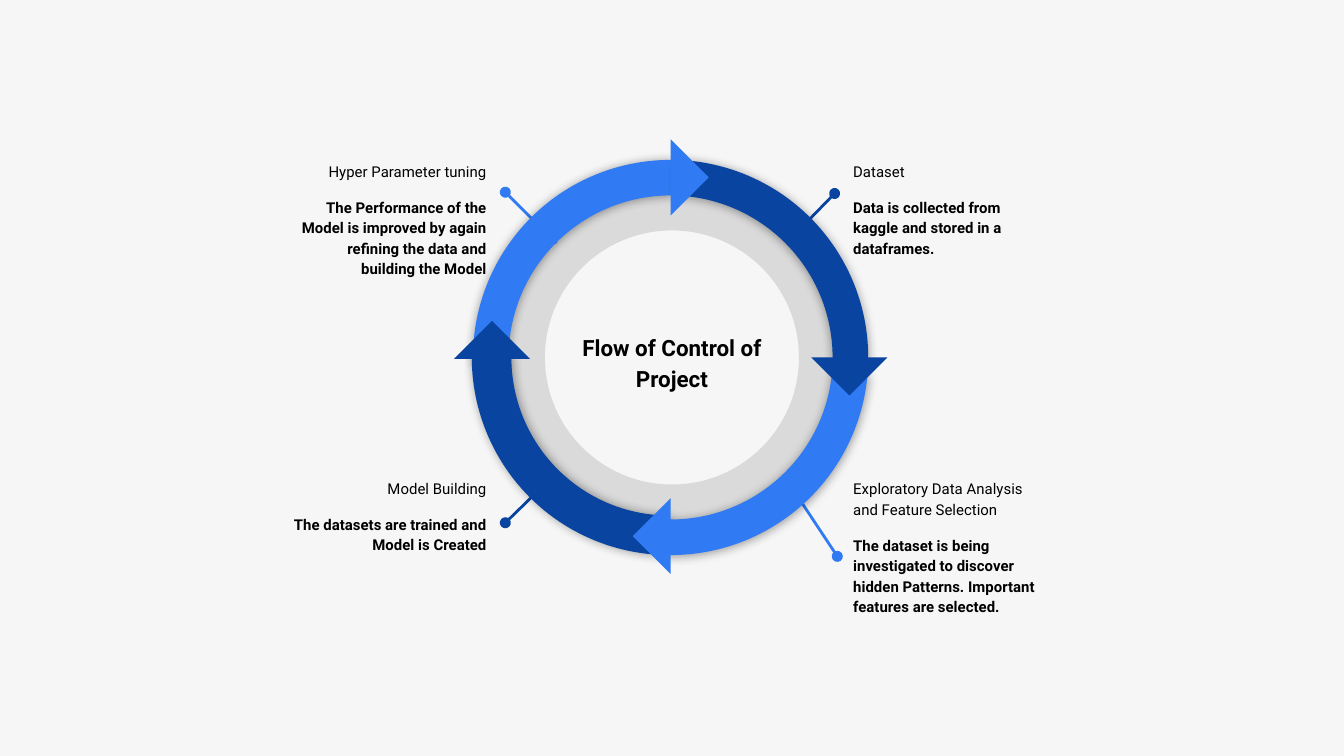
from lxml import etree
from pptx import Presentation
from pptx import util as u
from pptx.dml.color import RGBColor
from pptx.enum import shapes, text
from pptx.oxml.ns import qn

LIGHT, DARK, BLACK = "307BF3", "0944A1", "000000"
LEFT, CENTER, RIGHT = text.PP_ALIGN.LEFT, text.PP_ALIGN.CENTER, text.PP_ALIGN.RIGHT

NOTES = [
    (2.08, 1.09, 0.73, RIGHT, "Hyper Parameter tuning",
     "The Performance of the Model is improved by again refining the data and building the Model"),
    (2.08, 3.45, 0.73, RIGHT, "Model Building", "The datasets are trained and Model is Created"),
    (6.25, 3.45, 1.12, LEFT, "Exploratory Data Analysis and Feature Selection",
     "The dataset is being investigated to discover hidden Patterns. Important features are selected."),
    (6.25, 1.09, 0.73, LEFT, "Dataset", "Data is collected from kaggle and stored in a dataframes."),
]
POINTERS = [
    ((3.76, 1.43), (4.14, 1.81), LIGHT),
    ((3.76, 3.89), (4.14, 3.52), DARK),
    ((6.23, 4.14), (5.84, 3.55), LIGHT),
    ((6.21, 1.44), (5.85, 1.81), DARK),
]
ARCS = [
    (3.52, 330, True, (143.49, 198.72, 0.09), LIGHT, 90),
    (3.52, 30, False, (145.46, 199.02, 0.09), DARK, 90),
    (3.51, 150, False, (180.42, 17.99, 0.1), DARK, 0),
    (3.52, 210, True, (179.67, 15.3, 0.09), LIGHT, 90),
]
ARROWHEADS = [
    (3.46, 2.47, 135, DARK),
    (6.12, 2.46, 315, DARK),
    (4.79, 3.79, 45, LIGHT),
    (4.79, 1.12, 225, LIGHT),
]


def rgb(value):
    """Turn a hex string into a colour."""
    return RGBColor.from_string(value)


def add_figure(page, kind, left, top, size, color, rotation=0, adjustments=()):
    """Add a square, filled preset shape without outline or shadow."""
    figure = page.shapes.add_shape(kind, *map(u.Inches, (left, top, size, size)))
    figure.shadow.inherit = False
    figure.fill.solid()
    figure.fill.fore_color.rgb = rgb(color)
    figure.line.fill.background()
    figure.rotation = rotation
    for index, value in enumerate(adjustments):
        figure.adjustments[index] = value
    return figure


def set_alpha(color_node, percent):
    """Give a colour node its opacity."""
    etree.SubElement(color_node, qn("a:alpha"), val=str(percent * 1000))


def add_ring(page):
    """Add the translucent ring behind the arrows."""
    ring = add_figure(page, shapes.MSO_SHAPE.DONUT, 3.61, 1.27, 2.78, BLACK, adjustments=[0.16])
    set_alpha(ring.element.spPr.find(qn("a:solidFill")).find(qn("a:srgbClr")), 11)


def add_arc(page, left, rotation, mirrored, adjustments, color, direction):
    """Add one quarter of the cycle with a soft shadow."""
    arc = add_figure(page, shapes.MSO_SHAPE.BLOCK_ARC, left, 1.19, 2.94, color, rotation, adjustments)
    properties = arc.element.spPr
    if mirrored:
        properties.find(qn("a:xfrm")).set("flipH", "1")
    shadow = etree.SubElement(
        properties.find(qn("a:effectLst")), qn("a:outerShdw"),
        blurRad=str(u.Pt(5.6)), dist=str(u.Pt(0.8)), dir=str(direction * 60000),
        algn="bl", rotWithShape="0")
    set_alpha(etree.SubElement(shadow, qn("a:srgbClr"), val=BLACK), 40)


def add_pointer(page, start, end, color):
    """Add a line that starts with a dot."""
    pointer = page.shapes.add_connector(
        shapes.MSO_CONNECTOR.STRAIGHT, *map(u.Inches, start + end))
    pointer.line.color.rgb = rgb(color)
    pointer.line.width = u.Pt(1.5)
    properties = pointer.element.spPr
    etree.SubElement(properties.find(qn("a:ln")), qn("a:headEnd"), type="oval")
    etree.SubElement(properties, qn("a:effectLst"))


def set_frame(box, anchor):
    """Set wrapping, margins and anchor of a box and return its frame."""
    frame = box.text_frame
    settings = {"word_wrap": True, "auto_size": text.MSO_AUTO_SIZE.NONE, "vertical_anchor": anchor}
    settings.update({f"margin_{side}": u.Inches(0.1) for side in ("left", "top", "right", "bottom")})
    for name, value in settings.items():
        setattr(frame, name, value)
    return frame


def write(para, words, size, bold, align, gap=0):
    """Write one formatted paragraph."""
    for name, value in {"alignment": align, "line_spacing": 1.15, "space_before": u.Pt(gap)}.items():
        setattr(para, name, value)
    span = para.add_run()
    span.text = words
    for name, value in {"name": "Roboto", "size": u.Pt(size), "bold": bold}.items():
        setattr(span.font, name, value)
    span.font.color.rgb = rgb(BLACK)


def add_note(page, left, top, height, align, heading, body):
    """Add a heading with its bold description."""
    box = page.shapes.add_textbox(*map(u.Inches, (left, top, 1.64, height)))
    frame = set_frame(box, text.MSO_ANCHOR.TOP)
    write(frame.paragraphs[0], heading, 8, False, align)
    write(frame.add_paragraph(), body, 8, True, align, gap=8.2)


def place_title(page, words):
    """Put the title in the middle of the cycle."""
    title = page.shapes.title
    places = {"left": 4.21, "top": 2.25, "width": 1.58, "height": 0.88}
    for name, value in places.items():
        setattr(title, name, u.Inches(value))
    frame = set_frame(title, text.MSO_ANCHOR.MIDDLE)
    write(frame.paragraphs[0], words, 12, True, CENTER)


def main():
    """Build the slide and save it."""
    deck = Presentation()
    deck.slide_width = u.Inches(10)
    deck.slide_height = deck.slide_width * 9 // 16
    page = deck.slides.add_slide(deck.slide_layouts[5])
    page.background.fill.solid()
    page.background.fill.fore_color.rgb = rgb("F6F6F6")
    place_title(page, "Flow of Control of Project")
    add_ring(page)
    for pointer in POINTERS:
        add_pointer(page, *pointer)
    for note in NOTES:
        add_note(page, *note)
    for arc in ARCS:
        add_arc(page, *arc)
    for left, top, rotation, color in ARROWHEADS:
        add_figure(page, shapes.MSO_SHAPE.RIGHT_TRIANGLE, left, top, 0.4, color, rotation)
    deck.save("out.pptx")


if __name__ == "__main__":
    main()
